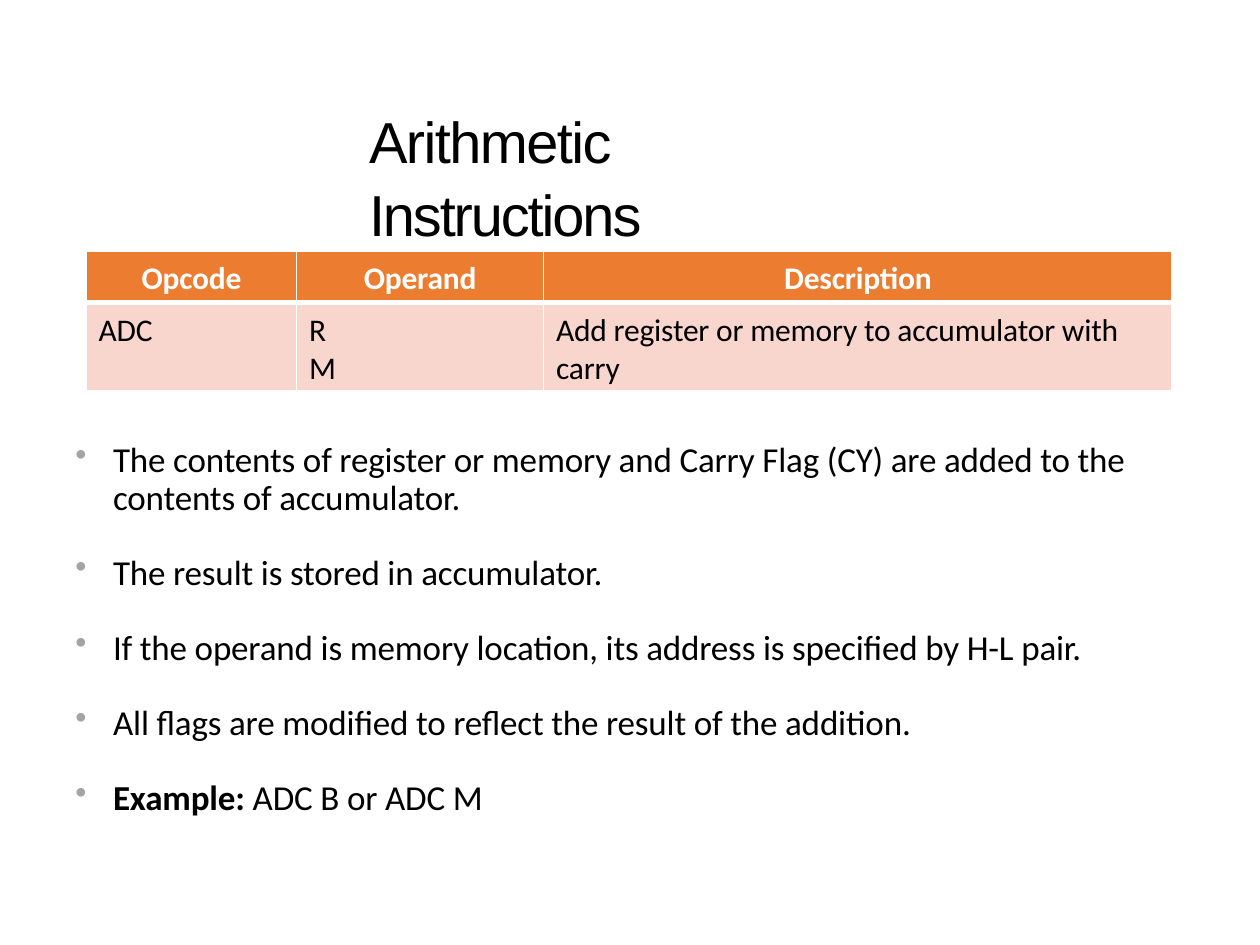
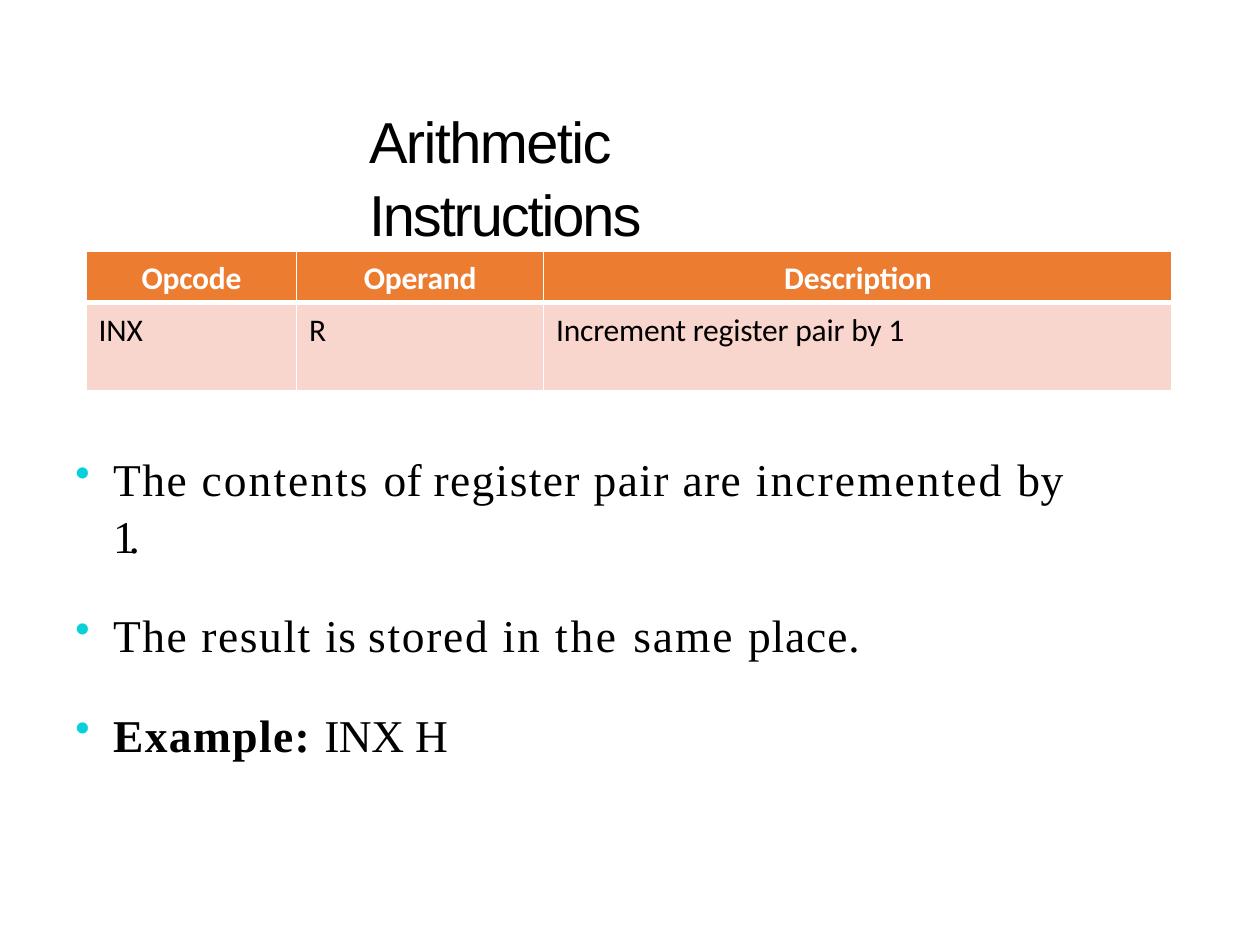
from lxml.etree import SubElement
from pptx import Presentation
from pptx.dml.color import RGBColor
from pptx.enum.text import PP_ALIGN
from pptx.oxml.ns import qn
from pptx.util import Cm, Pt

COLORS = {
    "text": "000000",
    "white": "FFFFFF",
    "header": "EC7C30",
    "row": "F8D6CD",
    "grey_bullet": "A4A4A4",
    "cyan_bullet": "0AD0D9",
}
COLUMN_WIDTHS = [4.24, 4.98, 12.67]
HEADINGS = ["Opcode", "Operand", "Description"]

# Each bullet is a list of (text, letter spacing in points, bold)
INSTRUCTIONS = [
    {
        "row": ["ADC", "R\nM", "Add register or memory to accumulator with carry"],
        "place": (1.5, 8.84, 21.46, 7.7),
        "font": "Calibri", "size": 20, "line": Pt(21.6), "gap": 21.3,
        "bullet": "grey_bullet", "bullet_size": 95,
        "points": [
            [("The contents of register or memory and Carry Flag (CY) are added to the "
              "contents of accumulator.", -0.1, False)],
            [("The result is stored in accumulator.", -0.1, False)],
            [("If the operand is memory location, its address is specified by H-L pair.",
              -0.1, False)],
            [("All flags are modified to reflect the result of the addition.", -0.1, False)],
            [("Example: ", -0.1, True), ("ADC B or ADC M", -0.1, False)],
        ],
    },
    {
        "row": ["INX", "R", "Increment register pair by 1"],
        "place": (1.5, 8.97, 20.35, 5.05),
        "font": "Times New Roman", "size": 26, "line": 1.05, "gap": 24,
        "bullet": "cyan_bullet", "bullet_size": 94,
        "points": [
            [("The ", 0.9, False), ("contents ", 1.2, False), ("of ", 0.1, False),
             ("register pair are ", 0.8, False), ("incremented ", 1.2, False),
             ("by ", 0.3, False), ("1.", -4.1, False)],
            [("The result ", 0.9, False), ("is ", 0.2, False), ("stored in ", 1, False),
             ("the ", 1.6, False), ("same ", 1.1, False), ("place.", 0.5, False)],
            [("Example: ", 0.8, True), ("INX ", -0.3, False), ("H", 1.7, False)],
        ],
    },
]


def format_run(run, font, size, color, spacing, bold=False):
    run.font.name = font
    run.font.size = Pt(size)
    run.font.bold = bold
    run.font.color.rgb = RGBColor.from_string(COLORS[color])
    run.font._element.set("spc", str(round(spacing * 100)))


def add_text_area(slide, place, top_inset):
    frame = slide.shapes.add_textbox(*[Cm(length) for length in place]).text_frame
    frame.word_wrap = True
    frame.margin_left = frame.margin_right = frame.margin_bottom = 0
    frame.margin_top = Cm(top_inset)
    return frame


deck = Presentation()
deck.slide_width, deck.slide_height = Cm(25.4), Cm(19.05)

for instruction in INSTRUCTIONS:
    slide = deck.slides.add_slide(deck.slide_layouts[6])

    # Title
    title = add_text_area(slide, (7.44, 1.98, 10.5, 1.47), 0.09).paragraphs[0]
    title.line_spacing = 1.05
    for word, spacing in [("Arithmetic ", -0.9), ("Instructions", -1.2)]:
        run = title.add_run()
        run.text = word
        format_run(run, "Arial", 33, "text", spacing)

    # Opcode table
    opcodes = slide.shapes.add_table(
        2, 3, Cm(1.74), Cm(5.06), Cm(sum(COLUMN_WIDTHS)), Cm(2.82)).table
    for column, width in zip(opcodes.columns, COLUMN_WIDTHS):
        column.width = Cm(width)
    opcodes.rows[0].height, opcodes.rows[1].height = Cm(1.04), Cm(1.78)

    for row, texts in enumerate([HEADINGS, instruction["row"]]):
        is_header = row == 0
        for col, text in enumerate(texts):
            cell = opcodes.cell(row, col)
            cell.text_frame.text = text
            cell.margin_left = 0 if is_header else Cm(0.25)
            cell.margin_right = cell.margin_bottom = 0
            cell.margin_top = Cm(0.17)
            for paragraph in cell.text_frame.paragraphs:
                paragraph.alignment = PP_ALIGN.CENTER if is_header else PP_ALIGN.LEFT
                format_run(paragraph.runs[0], "Calibri", 18,
                           "white" if is_header else "text", -0.1, is_header)

            # White rules, thicker between header and body
            thick_side = "lnB" if is_header else "lnT"
            for side in ("lnL", "lnR", "lnT", "lnB"):
                width = Pt(3 if side == thick_side else 1)
                rule = SubElement(cell._tc.get_or_add_tcPr(), qn(f"a:{side}"), w=str(width))
                rule_fill = SubElement(rule, qn("a:solidFill"))
                SubElement(rule_fill, qn("a:srgbClr"), val=COLORS["white"])
            cell.fill.solid()
            cell.fill.fore_color.rgb = RGBColor.from_string(
                COLORS["header" if is_header else "row"])

    # Explanation bullets
    explanation = add_text_area(slide, instruction["place"], 0.06)
    for index, point in enumerate(instruction["points"]):
        paragraph = explanation.add_paragraph() if index else explanation.paragraphs[0]
        paragraph.line_spacing = instruction["line"]
        paragraph.space_before = Pt(instruction["gap"] if index else 0)
        properties = paragraph._p.get_or_add_pPr()
        properties.set("marL", str(Cm(0.78)))
        properties.set("indent", str(-Cm(0.76)))
        bullet_color = SubElement(properties, qn("a:buClr"))
        SubElement(bullet_color, qn("a:srgbClr"), val=COLORS[instruction["bullet"]])
        SubElement(properties, qn("a:buSzPct"), val=str(instruction["bullet_size"] * 1000))
        SubElement(properties, qn("a:buChar"), char="•")
        for text, spacing, bold in point:
            run = paragraph.add_run()
            run.text = text
            format_run(run, instruction["font"], instruction["size"], "text", spacing, bold)

deck.save("out.pptx")
